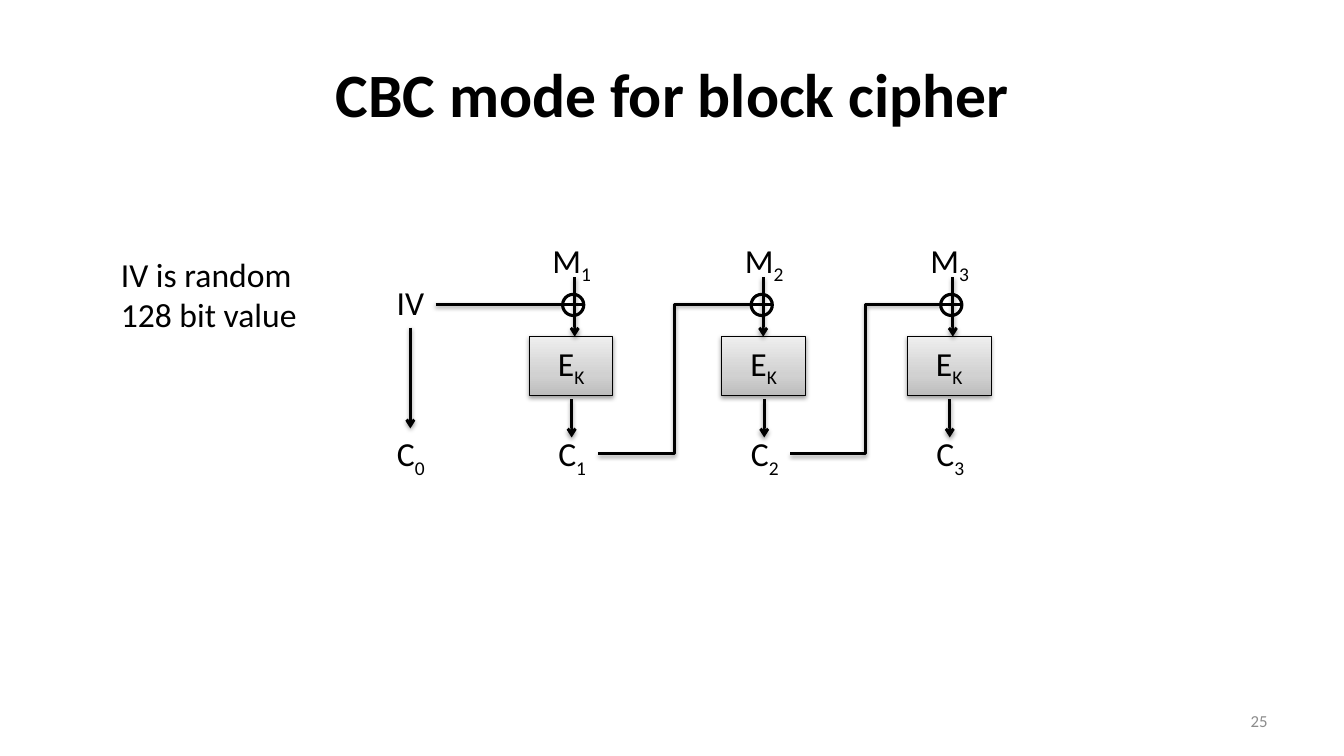
from copy import deepcopy

from pptx import Presentation
from pptx.dml.color import RGBColor
from pptx.enum.shapes import MSO_CONNECTOR, MSO_SHAPE
from pptx.enum.text import MSO_ANCHOR, MSO_AUTO_SIZE, PP_ALIGN
from pptx.oxml import parse_xml
from pptx.oxml.ns import nsdecls, qn
from pptx.util import Pt

SCALE = 9144
BLACK = "000000"
GREY = "8C8C8C"
STOPS = [(0, "BDBDBD"), (0.35, "D1D1D1"), (1, "EEEEEE")]
PLAIN = {"name": "Calibri", "size": Pt(24), "bold": False}
HEAD = {**PLAIN, "size": Pt(44), "bold": True}
SMALL = {**PLAIN, "size": Pt(12)}
MIDS = [567, 758, 942]
GATES = [569, 756, 944]
WIRE = 302
LEFT = 407
SHADE = (
    '<a:outerShdw blurRad="40000" dist="20000" dir="5400000" rotWithShape="0">'
    '<a:srgbClr val="000000"><a:alpha val="38000"/></a:srgbClr></a:outerShdw>'
)


def px(*sizes):
    return [size * SCALE for size in sizes]


def paint(code):
    return RGBColor.from_string(code)


def write(frame, text, sub="", form=PLAIN, color=BLACK, align=PP_ALIGN.CENTER):
    para = frame.paragraphs[0]
    para.alignment = align
    for part, base in ((text, None), (sub, "-25000")):
        if not part:
            continue
        run = para.add_run()
        run.text = part
        for key, value in form.items():
            setattr(run.font, key, value)
        run.font.color.rgb = paint(color)
        if base:
            run._r.get_or_add_rPr().set("baseline", base)


def shade(shape, inner=SHADE):
    props = shape._element.spPr
    for old in props.findall(qn("a:effectLst")):
        props.remove(old)
    props.append(parse_xml(f"<a:effectLst {nsdecls('a')}>{inner}</a:effectLst>"))


def stroke(shape, width):
    shape.line.color.rgb = paint(BLACK)
    shape.line.width = Pt(width)


def label(slide, mid, top, wide, text, sub=""):
    box = slide.shapes.add_textbox(*px(mid - wide // 2, top, wide, 50))
    box.text_frame.word_wrap = False
    box.text_frame.auto_size = MSO_AUTO_SIZE.SHAPE_TO_FIT_TEXT
    write(box.text_frame, text, sub)


def note(slide, place, text, **style):
    box = slide.shapes.add_textbox(*px(*place))
    box.text_frame.word_wrap = True
    write(box.text_frame, text, **style)
    return box


def link(slide, ends, kind=MSO_CONNECTOR.STRAIGHT, arrow=False, width=2, glow=SHADE):
    line = slide.shapes.add_connector(kind, *px(*ends))
    stroke(line, width)
    if arrow:
        line.line._get_or_add_ln().append(
            parse_xml(f'<a:tailEnd {nsdecls("a")} type="arrow"/>')
        )
    shade(line, glow)


def block(slide, mid):
    box = slide.shapes.add_shape(MSO_SHAPE.RECTANGLE, *px(mid - 42, 334, 83, 58))
    box.fill.gradient()
    box.fill.gradient_angle = 90
    stops = box._element.spPr.find(".//" + qn("a:gsLst"))
    stops.insert(1, deepcopy(stops[0]))
    for stop, (point, color) in zip(box.fill.gradient_stops, STOPS):
        stop.position = point
        stop.color.rgb = paint(color)
    stroke(box, 0.75)
    shade(box)
    box.text_frame.vertical_anchor = MSO_ANCHOR.MIDDLE
    write(box.text_frame, "E", "K")


def gate(slide, mid):
    link(slide, (mid + 1, 275, mid + 1, 334), arrow=True)
    ring = slide.shapes.add_shape(MSO_SHAPE.OVAL, *px(mid - 11, WIRE - 10, 21, 21))
    ring.shadow.inherit = False
    ring.fill.background()
    stroke(ring, 2.25)
    link(slide, (mid - 11, WIRE, mid + 11, WIRE), width=2.25, glow="")


def stage(slide, count, mid, cross):
    block(slide, mid)
    label(slide, mid, 233, 60, "M", str(count))
    gate(slide, cross)
    link(slide, (mid, 396, mid, 434), arrow=True)
    label(slide, mid, 425, 49, "C", str(count))


def main():
    deck = Presentation()
    deck.slide_width, deck.slide_height = px(1333, 750)
    slide = deck.slides.add_slide(deck.slide_layouts[5])
    title = slide.shapes.title
    title.left, title.top, title.width, title.height = px(67, 30, 1200, 125)
    title.text_frame.vertical_anchor = MSO_ANCHOR.MIDDLE
    write(title.text_frame, "CBC mode for block cipher", form=HEAD)

    page = note(slide, (956, 695, 311, 40), "25", form=SMALL, color=GREY,
                align=PP_ALIGN.RIGHT)
    page.text_frame.vertical_anchor = MSO_ANCHOR.MIDDLE
    note(slide, (110, 247, 211, 91), "IV is random 128 bit value", align=PP_ALIGN.LEFT)

    label(slide, LEFT, 275, 48, "IV")
    link(slide, (LEFT, 325, LEFT, 425), arrow=True)
    label(slide, LEFT, 425, 49, "C", "0")
    for count, (mid, cross) in enumerate(zip(MIDS, GATES), 1):
        stage(slide, count, mid, cross)
    link(slide, (432, WIRE, GATES[0] - 11, WIRE))
    for mid, cross in zip(MIDS, GATES[1:]):
        link(slide, (mid + 26, 450, cross - 11, WIRE), MSO_CONNECTOR.ELBOW)
    deck.save("out.pptx")


if __name__ == "__main__":
    main()
